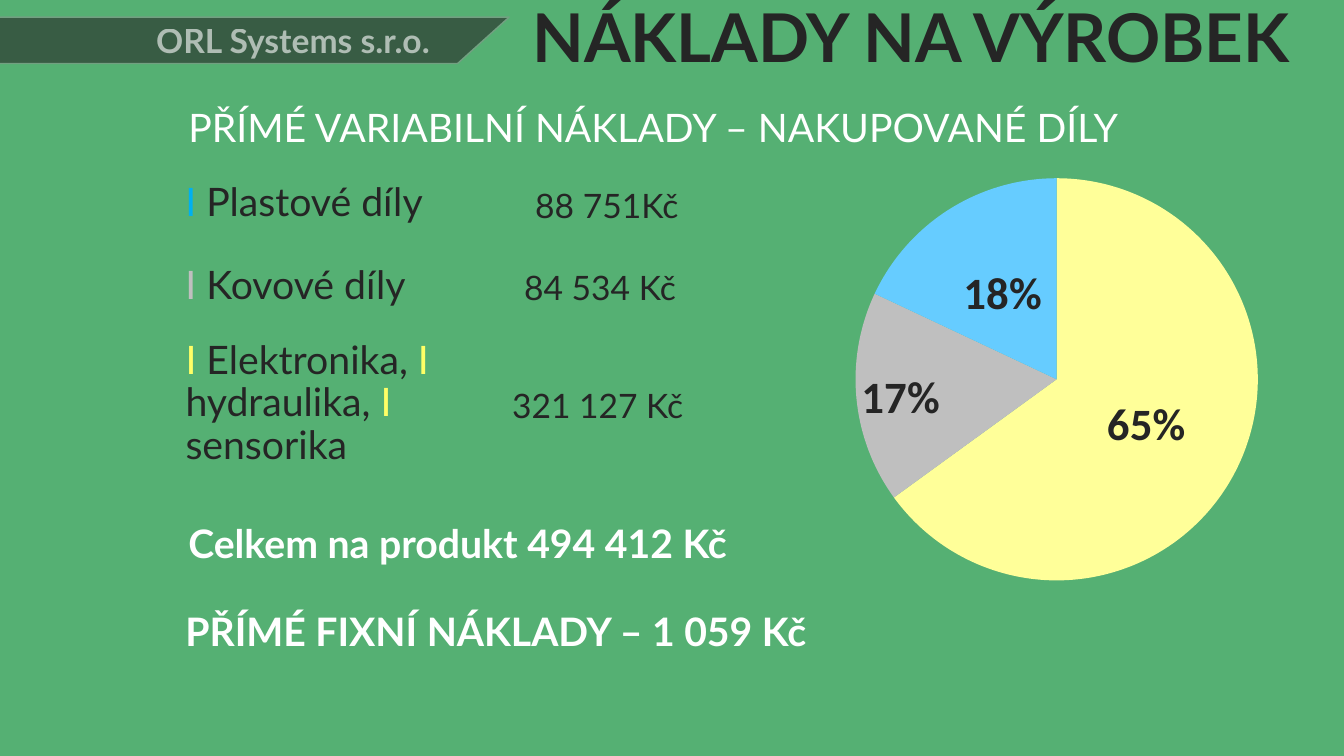
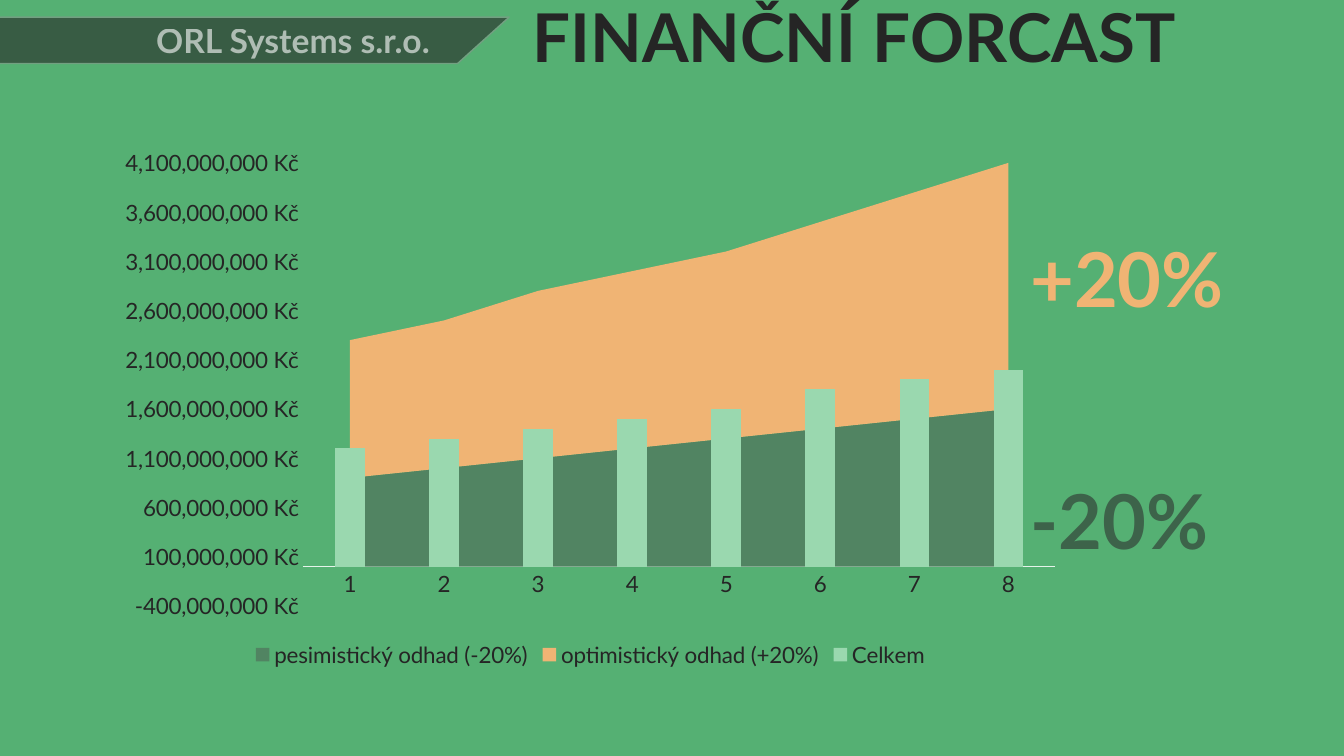
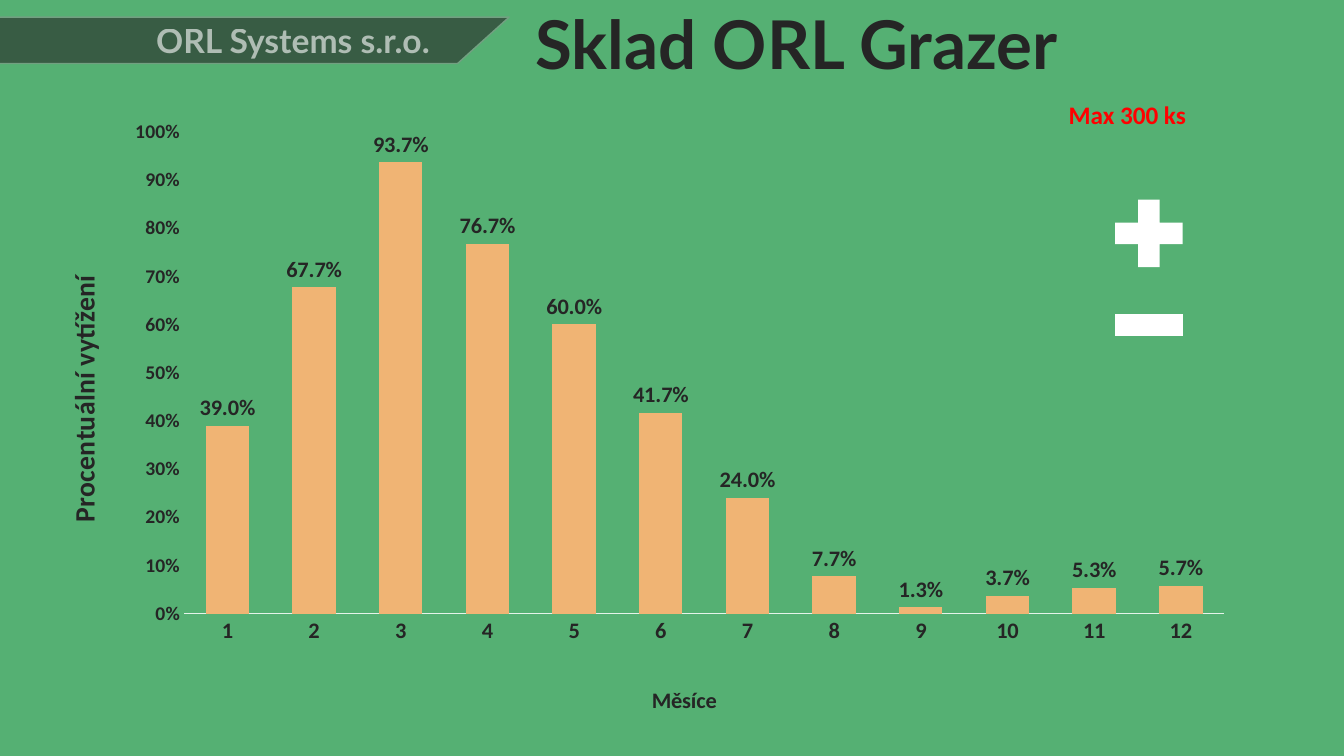
from pptx import Presentation, chart as charts, oxml, util as u
from pptx.chart import data
from pptx.dml.color import RGBColor
from pptx.enum import chart as kinds, shapes, text
from pptx.oxml import ns

GREEN = RGBColor(0x55, 0xB0, 0x73)
BAND_EDGE = RGBColor(0x72, 0xA0, 0x81)
DARK = RGBColor(0x25, 0x25, 0x25)
WHITE = RGBColor(0xFF, 0xFF, 0xFF)
YELLOW = RGBColor(0xFF, 0xFF, 0x66)
PALE_YELLOW = RGBColor(0xFF, 0xFF, 0x99)
GREY = RGBColor(0xBF, 0xBF, 0xBF)
BLUE = RGBColor(0x00, 0xB0, 0xF0)
SKY = RGBColor(0x66, 0xCC, 0xFF)
ORANGE = RGBColor(0xF0, 0xB4, 0x74)
MOSS = RGBColor(0x51, 0x84, 0x62)
FOREST = RGBColor(0x3D, 0x63, 0x4A)
MINT = RGBColor(0x9A, 0xD8, 0xAF)
AXIS = RGBColor(0xE5, 0xF3, 0xEA)
RED = RGBColor(0xFF, 0x00, 0x00)

LATO = "Lato"
CALIBRI = "Calibri"


def style(font, size, color=DARK, bold=False, name=LATO):
    font.name = name
    font.size = u.Pt(size)
    font.bold = bold
    font.color.rgb = color


def put(item, left, top, width, height):
    item.left, item.top = u.Inches(left), u.Inches(top)
    item.width, item.height = u.Inches(width), u.Inches(height)


def make_translucent(element):
    for color in element.iter(ns.qn("a:srgbClr")):
        oxml.parse_xml(
            f'<a:alpha {ns.nsdecls("a")} val="60000"/>'
        )
        color.append(oxml.parse_xml(f'<a:alpha {ns.nsdecls("a")} val="60000"/>'))


def write(frame, spans, size, bold=False, name=LATO, spacing=None):
    frame.word_wrap = True
    para = frame.paragraphs[0]
    para.line_spacing = spacing
    style(para.font, size, spans[0][1], bold, name)
    for words, color in spans:
        span = para.add_run()
        span.text = words
        if len(spans) > 1:
            span.font.color.rgb = color
    return para


def add_text(page, place, spans, size, **look):
    box = page.shapes.add_textbox(*map(u.Inches, place))
    write(box.text_frame, spans, size, **look)


def add_page(deck, layout, title, place):
    page = deck.slides.add_slide(deck.slide_layouts.get_by_name(layout))
    put(page.shapes.title, *place)
    frame = page.shapes.title.text_frame
    frame.vertical_anchor = text.MSO_ANCHOR.MIDDLE
    frame.auto_size = text.MSO_AUTO_SIZE.NONE
    para = write(frame, [(title, DARK)], 48, bold=True, spacing=0.9)
    para.alignment = text.PP_ALIGN.LEFT
    return page


def add_plain_shape(page, preset, place, color):
    shape = page.shapes.add_shape(preset, *map(u.Inches, place))
    shape.shadow.inherit = False
    shape.fill.solid()
    shape.fill.fore_color.rgb = color
    shape.line.fill.background()
    return shape


def add_master_band(master, page):
    band = add_plain_shape(
        page, shapes.MSO_SHAPE.PARALLELOGRAM, (-0.65, 0.17, 5.7, 0.46), DARK
    )
    band.adjustments[0] = 1.11
    band.text_frame.vertical_anchor = text.MSO_ANCHOR.MIDDLE
    para = write(band.text_frame, [("ORL Systems s.r.o.", WHITE)], 24, bold=True)
    para.alignment = text.PP_ALIGN.RIGHT
    make_translucent(band.element)
    band.line.color.rgb = BAND_EDGE
    band.line.width = u.Pt(1)
    band.element.xpath("./p:nvSpPr/p:cNvPr")[0].set("id", "20")
    master.shapes.element.append(band.element)


def set_layout(parent, index, modes, **values):
    old = parent.find(ns.qn("c:layout"))
    if old is not None:
        parent.remove(old)
    parts = modes + "".join(f'<c:{key} val="{value}"/>' for key, value in values.items())
    parent.insert(index, oxml.parse_xml(
        f'<c:layout {ns.nsdecls("c")}><c:manualLayout>{parts}</c:manualLayout></c:layout>'
    ))


EDGES = '<c:xMode val="edge"/><c:yMode val="edge"/>'
INNER = '<c:layoutTarget val="inner"/>' + EDGES


def add_chart(page, kind, place, categories, series):
    source = data.CategoryChartData()
    source.categories = categories
    for name, values in series:
        source.add_series(name, values)
    chart = page.shapes.add_chart(kind, *map(u.Inches, place), source).chart
    chart.has_title = False
    chart.has_legend = False
    return chart


def fill_series(series, color):
    series.format.fill.solid()
    series.format.fill.fore_color.rgb = color


def style_axes(chart, category_size, value_size, low, high, step, number_format, **look):
    for axis, size in ((chart.category_axis, category_size), (chart.value_axis, value_size)):
        axis.has_major_gridlines = False
        axis.major_tick_mark = kinds.XL_TICK_MARK.NONE
        axis.minor_tick_mark = kinds.XL_TICK_MARK.NONE
        style(axis.tick_labels.font, size, **look)
    line = chart.category_axis.format.line
    line.color.rgb = AXIS
    line.width = u.Pt(0.75)
    values = chart.value_axis
    values.format.line.fill.background()
    values.minimum_scale, values.maximum_scale, values.major_unit = low, high, step
    values.tick_labels.number_format = number_format
    values.tick_labels.number_format_is_linked = False


def add_axis_title(axis, words, size, x, y):
    para = axis.axis_title.text_frame.paragraphs[0]
    para.text = words
    style(para.font, size, bold=True, name=CALIBRI)
    set_layout(axis.axis_title._element, 1, EDGES, x=x, y=y)


def move_last_series_to_columns(chart):
    area = chart._chartSpace.find(".//" + ns.qn("c:areaChart"))
    columns = oxml.parse_xml(
        f'<c:barChart {ns.nsdecls("c")}><c:barDir val="col"/><c:grouping val="clustered"/>'
        '<c:varyColors val="0"/><c:gapWidth val="219"/></c:barChart>'
    )
    columns.insert(3, area.findall(ns.qn("c:ser"))[-1])
    for axis in area.findall(ns.qn("c:axId")):
        columns.append(oxml.parse_xml(
            f'<c:axId {ns.nsdecls("c")} val="{axis.get("val")}"/>'
        ))
    area.addnext(columns)
    crossing = chart.value_axis._element.find(ns.qn("c:crossBetween"))
    crossing.set("val", "between")


def add_cost_pie(page):
    chart = add_chart(page, kinds.XL_CHART_TYPE.PIE, (7.84, 1.49, 5.03, 4.64),
                      ["1", "2", "3"], [("Series 1", (65, 17, 18))])
    set_layout(chart._chartSpace.chart.plotArea, 0, INNER, x=0.07, y=0.06, w=0.91, h=0.86)
    plot = chart.plots[0]
    plot.vary_by_categories = True
    for index, color in enumerate((PALE_YELLOW, GREY, SKY)):
        fill_series(plot.series[0].points[index], color)
    labels = plot.series[0].data_labels
    labels.show_percentage = True
    labels.show_value = False
    labels.number_format = "0%"
    labels.number_format_is_linked = False
    labels.position = kinds.XL_LABEL_POSITION.CENTER
    style(labels.font, 32, bold=True, name=CALIBRI)
    grey_label = plot.series[0].points[1].data_label
    grey_label.position = kinds.XL_LABEL_POSITION.CENTER
    style(grey_label.font, 32, bold=True, name=CALIBRI)
    element = labels._element.find(ns.qn("c:dLbl"))
    element.find(ns.qn("c:showVal")).set("val", "0")
    element.find(ns.qn("c:showPercent")).set("val", "1")
    set_layout(element, 1, "", x=-0.11, y=0.02)


def build_costs(page):
    add_cost_pie(page)
    body = page.placeholders[1]
    put(body, 1.74, 3.33, 2.62, 1.55)
    frame = body.text_frame
    frame.auto_size = text.MSO_AUTO_SIZE.NONE
    properties = frame.paragraphs[0]._p.get_or_add_pPr()
    properties.set("marL", "0")
    properties.set("indent", "0")
    properties.append(oxml.parse_xml(f'<a:buNone {ns.nsdecls("a")}/>'))
    frame.paragraphs[0].space_before = u.Pt(0)
    parts = (" Elektronika, ", " hydraulika, ", " sensorika")
    spans = [span for part in parts for span in (("I", YELLOW), (part, DARK))]
    write(frame, spans, 28, spacing=0.9)

    add_text(page, (1.74, 1.76, 2.86, 0.55),
             [("I", BLUE), (" Plastové díly", DARK)], 28, spacing=0.9)
    add_text(page, (1.74, 2.62, 2.74, 0.52),
             [("I", GREY), (" Kovové díly", DARK)], 28, spacing=0.8)
    for left, top, amount in ((5.21, 1.83, "88 751Kč"), (5.1, 2.64, "84 534 Kč"),
                              (4.98, 3.81, "321 127 Kč")):
        add_text(page, (left, top, 2.25, 0.52), [(amount, DARK)], 24, spacing=0.9)
    for place, words, bold in (
        ((1.77, 1.03, 10.5, 1.08), "PŘÍMÉ VARIABILNÍ NÁKLADY – NAKUPOVANÉ DÍLY", False),
        ((1.77, 5.16, 6.07, 0.86), "Celkem na produkt 494 412 Kč", True),
        ((1.74, 6.03, 10.5, 1.08), "PŘÍMÉ FIXNÍ NÁKLADY – 1 059 Kč", True),
    ):
        add_text(page, place, [(words, WHITE)], 28, bold=bold, spacing=0.9)


def build_forecast(page):
    million = 1_000_000
    estimates = (
        ("pesimistický odhad (-20%)", (900, 1000, 1100, 1200, 1300, 1400, 1500, 1600), MOSS),
        ("optimistický odhad (+20%)", (1400, 1500, 1700, 1800, 1900, 2100, 2300, 2500), ORANGE),
        ("Celkem", (1200, 1300, 1400, 1500, 1600, 1800, 1900, 2000), MINT),
    )
    chart = add_chart(
        page, kinds.XL_CHART_TYPE.AREA_STACKED, (1.05, 1.38, 9.61, 5.29),
        [str(year) for year in range(1, 9)],
        [(name, [value * million for value in values]) for name, values, _ in estimates],
    )
    for series, (_, _, color) in zip(chart.plots[0].series, estimates):
        fill_series(series, color)
    chart.plots[0].vary_by_categories = False
    style_axes(chart, 16, 16, -400 * million, 4100 * million, 500 * million, '#,##0 "Kč"')
    move_last_series_to_columns(chart)
    chart.has_legend = True
    chart.legend.position = kinds.XL_LEGEND_POSITION.BOTTOM
    chart.legend.include_in_layout = False
    style(chart.legend.font, 16)
    for top, words, color in ((2.25, "+20%", ORANGE), (4.65, "-20%", FOREST)):
        add_text(page, (10.12, top, 2.36, 1.01), [(words, color)], 54, bold=True)


def build_stock(page):
    usage = (0.39, 0.677, 0.937, 0.767, 0.6, 0.417, 0.24, 0.077, 0.013, 0.037, 0.053, 0.057)
    chart = add_chart(page, kinds.XL_CHART_TYPE.COLUMN_CLUSTERED, (0.21, 0.94, 12.43, 6.22),
                      [str(month) for month in range(1, 13)], [("Series 1", usage)])
    set_layout(chart._chartSpace.chart.plotArea, 0, INNER, x=0.13, y=0.06, w=0.83, h=0.78)
    style_axes(chart, 16, 14, 0, 1, 0.1, "0%", bold=True, name=CALIBRI)
    add_axis_title(chart.category_axis, "Měsíce", 16, 0.5, 0.95)
    add_axis_title(chart.value_axis, "Procentuální vytížení", 20, 0.03, 0.29)
    plot = chart.plots[0]
    plot.vary_by_categories = False
    plot.gap_width, plot.overlap = 100, -24
    fill_series(plot.series[0], ORANGE)
    labels = plot.series[0].data_labels
    labels.show_value = True
    labels.number_format = "0.0%"
    labels.number_format_is_linked = False
    labels.position = kinds.XL_LABEL_POSITION.OUTSIDE_END
    style(labels.font, 16, bold=True, name=CALIBRI)
    add_text(page, (10.5, 0.94, 1.77, 0.4), [("Max 300 ks", RED)], 18,
             bold=True, name=CALIBRI)
    for top, sign in ((1.86, shapes.MSO_SHAPE.MATH_PLUS), (2.77, shapes.MSO_SHAPE.MATH_MINUS)):
        add_plain_shape(page, sign, (10.94, top, 0.91, 0.91), WHITE)


def main():
    deck = Presentation()
    deck.slide_width, deck.slide_height = u.Inches(13.33), u.Inches(7.5)
    master = deck.slide_master
    master.background.fill.solid()
    master.background.fill.fore_color.rgb = GREEN

    costs = add_page(deck, "Title and Content", "NÁKLADY NA VÝROBEK", (5.18, -0.07, 8.15, 0.94))
    add_master_band(master, costs)
    build_costs(costs)
    build_forecast(add_page(deck, "Title Only", "FINANČNÍ FORCAST", (5.18, -0.07, 7.91, 0.94)))
    build_stock(add_page(deck, "Title Only", "Sklad ORL Grazer", (5.21, 0, 7.91, 0.94)))
    deck.save("out.pptx")


if __name__ == "__main__":
    main()
